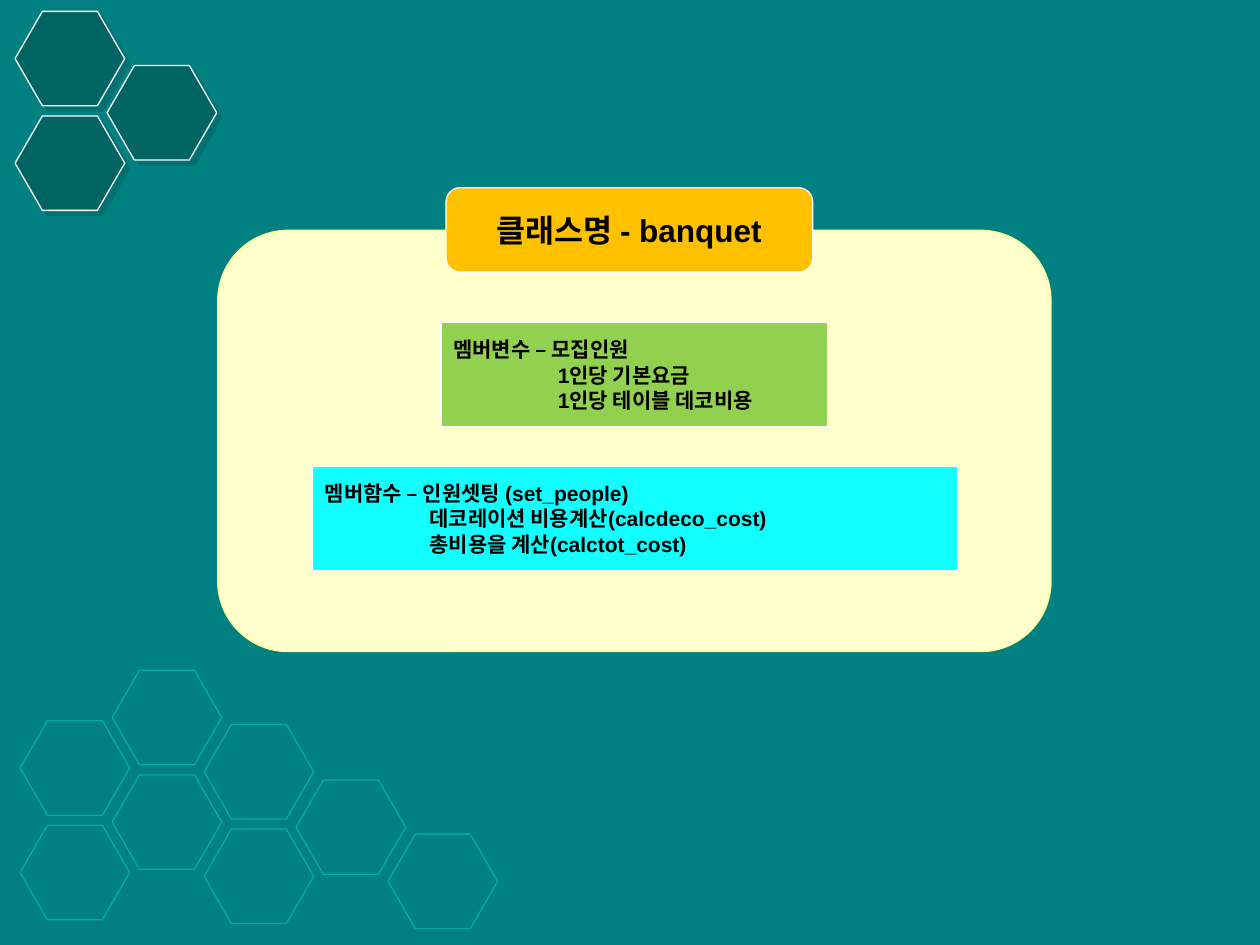
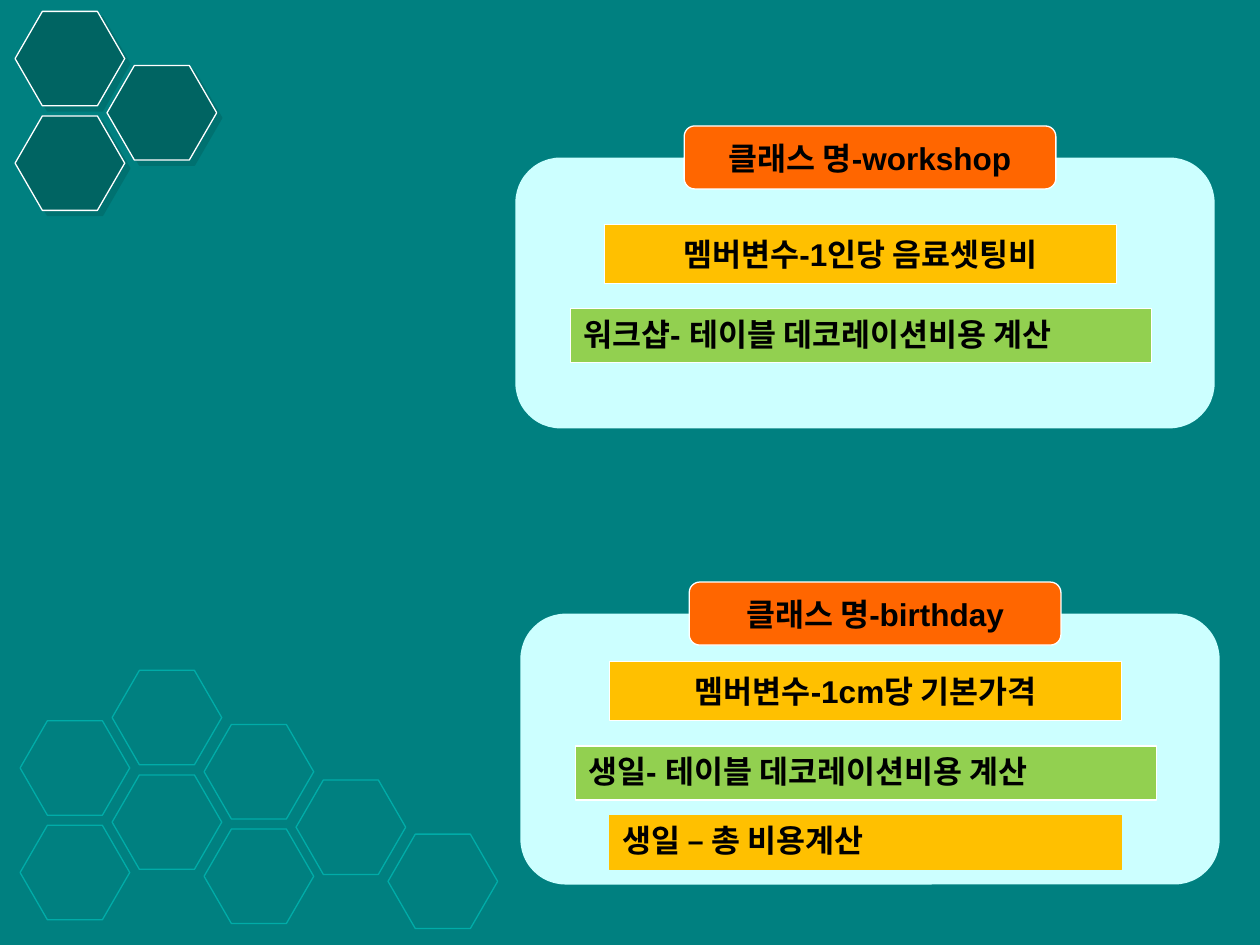
from lxml import etree
from pptx import Presentation
from pptx.dml.color import RGBColor
from pptx.enum.shapes import MSO_SHAPE as SHAPE
from pptx.enum.text import MSO_ANCHOR as ANCHOR, PP_ALIGN as ALIGN
from pptx.oxml.ns import qn
from pptx.util import Inches, Pt

TEAL = RGBColor(0x00, 0x80, 0x80)
DARK_TEAL = RGBColor(0x00, 0x64, 0x62)
LIGHT_TEAL = RGBColor(0x00, 0xAC, 0xA8)
CREAM = RGBColor(0xFF, 0xFF, 0xCC)
CREAM_EDGE = RGBColor(0xFF, 0xFF, 0x9E)
PALE_CYAN = RGBColor(0xCC, 0xFF, 0xFF)
CYAN = RGBColor(0x12, 0xFF, 0xFF)
GOLD = RGBColor(0xFF, 0xC0, 0x00)
ORANGE = RGBColor(0xFF, 0x66, 0x00)
GREEN = RGBColor(0x92, 0xD0, 0x50)
WHITE = RGBColor(0xFF, 0xFF, 0xFF)
BLACK = RGBColor(0x00, 0x00, 0x00)

FONT = "Arial"
HEX_W, HEX_H = 0.87, 0.75
HEX_COL, HEX_ROW = 0.73, 0.83
LIST_INDENT = Inches(0.83)

# Each column of a honeycomb: top of its first hexagon, number of hexagons
OUTLINE_COLUMNS = [(5.32 + 0.4, 2), (5.32, 2), (5.75, 2), (6.19, 1), (6.62, 1)]
SOLID_COLUMNS = [(0.09, 2), (0.52, 1)]


class Deck:
    def __init__(self):
        self.prs = Presentation()
        self.prs.slide_width, self.prs.slide_height = Inches(10), Inches(7.5)
        fill = self.prs.slide_master.background.fill
        fill.solid()
        fill.fore_color.rgb = TEAL

    def new_slide(self):
        self.s = self.prs.slides.add_slide(self.prs.slide_layouts[6])
        self.honeycomb(0.16, OUTLINE_COLUMNS, None, LIGHT_TEAL)
        self.honeycomb(0.12, SOLID_COLUMNS, DARK_TEAL, WHITE)

    def shape(self, kind, left, top, width, height, fill, line=WHITE, weight=0.75):
        sp = self.s.shapes.add_shape(
            kind, Inches(left), Inches(top), Inches(width), Inches(height))
        sp.shadow.inherit = False
        if fill is None:
            sp.fill.background()
        else:
            sp.fill.solid()
            sp.fill.fore_color.rgb = fill
        if line is None:
            sp.line.fill.background()
        else:
            sp.line.color.rgb = line
            sp.line.width = Pt(weight)
        return sp

    def honeycomb(self, left, columns, fill, line):
        for col, (top, count) in enumerate(columns):
            for row in range(count):
                sp = self.shape(SHAPE.HEXAGON, left + col * HEX_COL,
                                top + row * HEX_ROW, HEX_W, HEX_H, fill, line)
                sp.adjustments[0] = 0.289
                if fill is not None:
                    self.drop_shadow(sp, fill)

    def drop_shadow(self, sp, color):
        """Cast a half-transparent shadow to the lower right."""
        effects = sp._element.spPr.find(qn("a:effectLst"))
        shadow = etree.SubElement(effects, qn("a:outerShdw"), dist=str(Pt(4.2)),
                                  dir="2700000", algn="ctr", rotWithShape="0")
        clr = etree.SubElement(shadow, qn("a:srgbClr"), val=str(color))
        etree.SubElement(clr, qn("a:alpha"), val="50000")

    def panel(self, left, top, width, height, fill, line=None):
        self.shape(SHAPE.ROUNDED_RECTANGLE, left, top, width, height, fill, line, 1)

    def label(self, left, top, width, height, fill, text, kind=SHAPE.RECTANGLE,
              size=18, align=ALIGN.LEFT, anchor=ANCHOR.MIDDLE, line=WHITE):
        """Add a text bar; lines after the first are indented."""
        sp = self.shape(kind, left, top, width, height, fill, line)
        tf = sp.text_frame
        tf.word_wrap = True
        tf.vertical_anchor = anchor
        tf.text = text
        for i, p in enumerate(tf.paragraphs):
            p.alignment = align
            if i:
                p._p.get_or_add_pPr().set("marL", str(LIST_INDENT))
            for r in p.runs:
                r.font.name, r.font.size, r.font.bold = FONT, Pt(size), True
                r.font.color.rgb = BLACK

    def title(self, left, top, width, height, fill, text):
        self.label(left, top, width, height, fill, text,
                   SHAPE.ROUNDED_RECTANGLE, align=ALIGN.CENTER)

    def class_card(self, left, top, name, variable, variable_top, function):
        """Panel with a class name on its edge, a member variable and a function."""
        self.panel(left, top, 5.55, 2.15, PALE_CYAN)
        self.title(left + 1.34, top - 0.25, 2.95, 0.5, ORANGE, name)
        y = top + variable_top
        self.label(left + 0.71, y, 4.06, 0.47, GOLD, variable, align=ALIGN.CENTER)
        self.label(left + 0.44, y + 0.67, 4.61, 0.43, GREEN, function,
                   anchor=ANCHOR.TOP)


def banquet_slide(deck):
    deck.new_slide()
    deck.panel(1.73, 1.83, 6.61, 3.34, CREAM, CREAM_EDGE)
    deck.title(3.54, 1.49, 2.91, 0.67, GOLD, "클래스명 - banquet")
    deck.label(3.5, 2.56, 3.07, 0.83, GREEN,
               "멤버변수 – 모집인원\n1인당 기본요금\n1인당 테이블 데코비용", size=12)
    deck.label(2.48, 3.7, 5.12, 0.83, CYAN,
               "멤버함수 – 인원셋팅 (set_people)\n"
               "데코레이션 비용계산(calcdeco_cost)\n"
               "총비용을 계산(calctot_cost)", size=12)


def derived_classes_slide(deck):
    deck.new_slide()
    deck.class_card(4.09, 1.25, "클래스 명-workshop", "멤버변수-1인당 음료셋팅비",
                    0.53, "워크샵- 테이블 데코레이션비용 계산")
    deck.class_card(4.13, 4.87, "클래스 명-birthday", "멤버변수-1cm당 기본가격",
                    0.38, "생일- 테이블 데코레이션비용 계산")
    deck.label(4.84, 6.47, 4.06, 0.43, GOLD, "생일 – 총 비용계산",
               anchor=ANCHOR.TOP, line=GOLD)


def main():
    deck = Deck()
    banquet_slide(deck)
    derived_classes_slide(deck)
    deck.prs.save("out.pptx")


if __name__ == "__main__":
    main()
